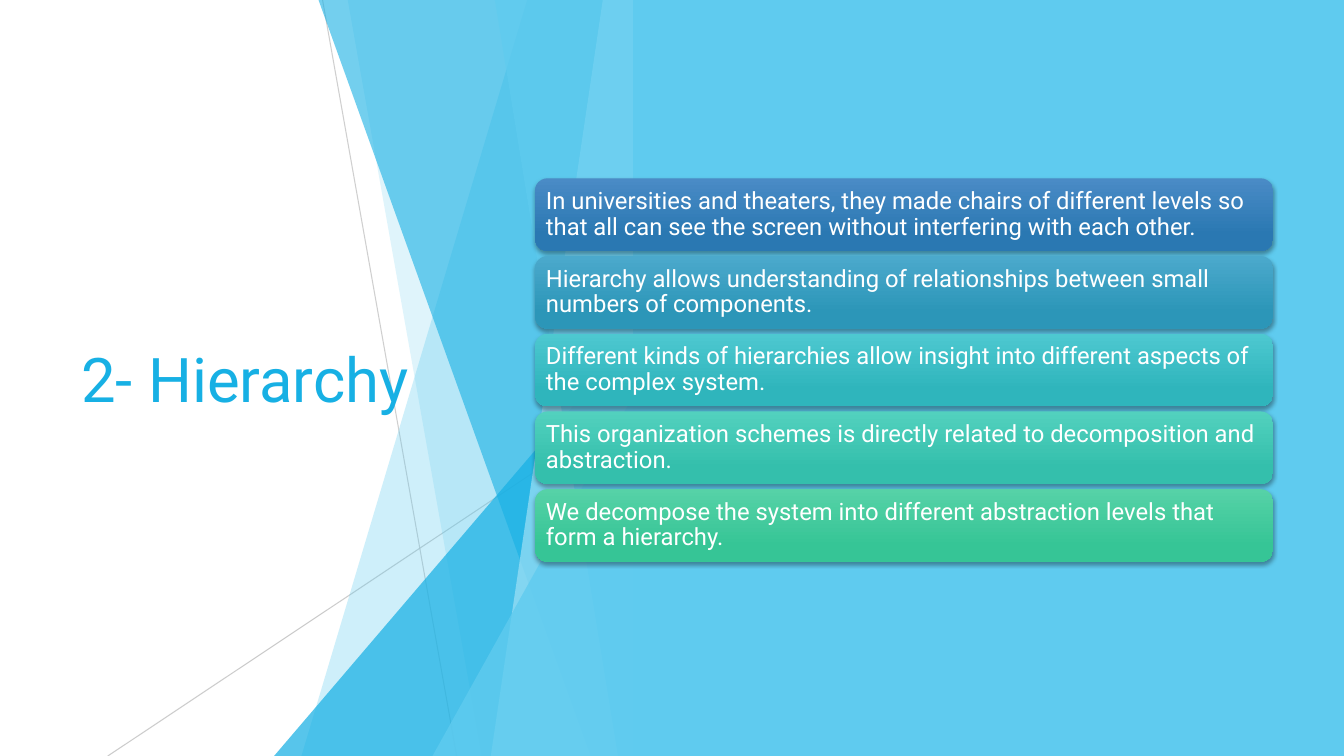
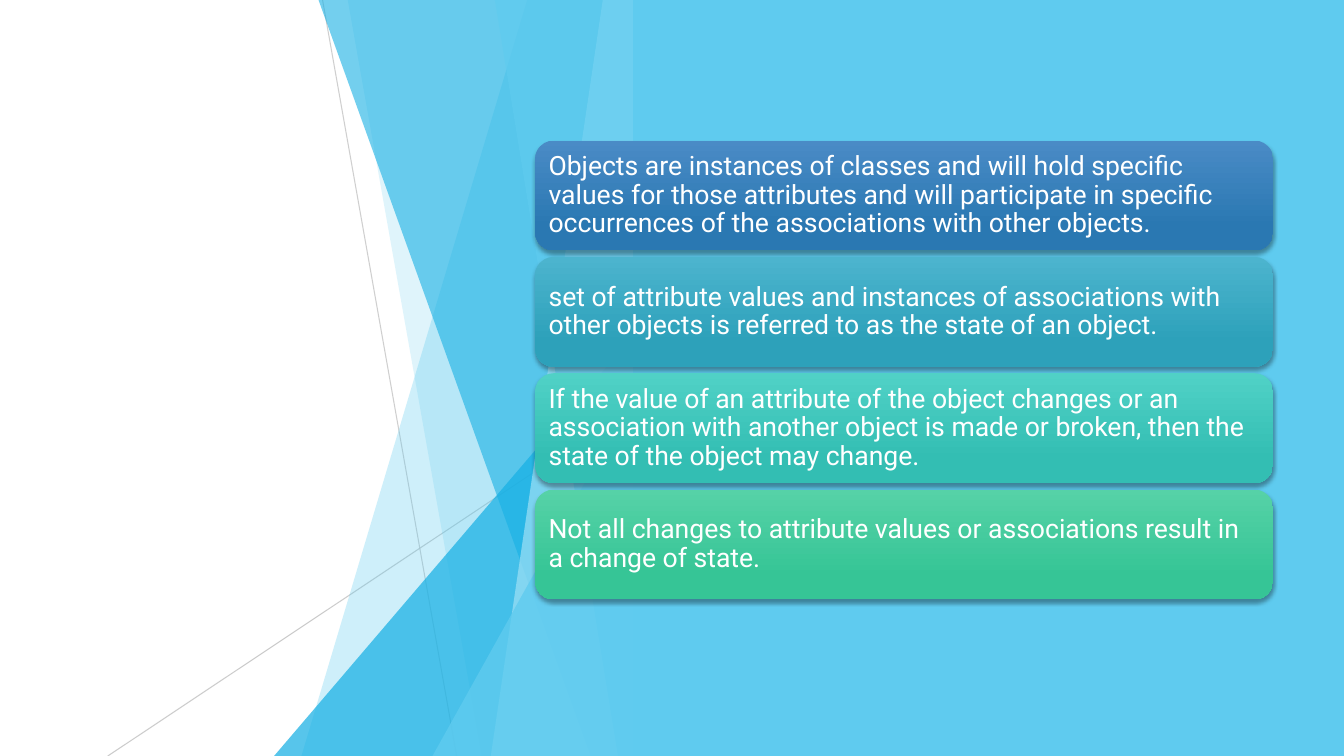
from lxml import etree
from pptx import Presentation
from pptx.dml.color import RGBColor
from pptx.enum.shapes import MSO_CONNECTOR, MSO_SHAPE
from pptx.enum.text import MSO_ANCHOR, PP_ALIGN
from pptx.oxml.ns import qn
from pptx.util import Pt

LINE = MSO_CONNECTOR.STRAIGHT
RECT = MSO_SHAPE.RECTANGLE
ROUND = MSO_SHAPE.ROUNDED_RECTANGLE
WEDGE = MSO_SHAPE.ISOSCELES_TRIANGLE
MIDDLE = MSO_ANCHOR.MIDDLE
LEFT = PP_ALIGN.LEFT

FONT = "Roboto"
WIDE, HIGH = 960, 540
EDGE = 452.2
CARD_X, CARD_W, CARD_MID = 382.3, 527, 264.3

HUES = {
    "white": "FFFFFF", "black": "000000", "gray": "BFBFBF",
    "sky": "5FCBEF", "azure": "17B0E4", "pale": "9FE0F5",
    "blue hi": "4A8BC6", "blue lo": "2A78B2",
    "steel hi": "4BA9CC", "steel lo": "2C96B8",
    "lake hi": "4CB4CE", "lake lo": "2DA1BA",
    "cyan hi": "4DC8D0", "cyan lo": "2FB5BC",
    "teal hi": "50D1C6", "teal lo": "33BEB3",
    "mint hi": "52D1BE", "mint lo": "34BFAC",
    "green hi": "56D2A7", "green lo": "36C596",
}
HUES = {name: RGBColor.from_string(code) for name, code in HUES.items()}

RAYS = [
    (230.4, 0, 326.2, HIGH, 75),
    (EDGE, 290.2, 77, HIGH, 80),
]
FACETS = [
    ("band", 376.6, 215.3, "sky", 30),
    ("band", 248.4, 344.2, "sky", 20),
    ("wedge", 195.8, 239.8, "azure", 72),
    ("band", 227.5, 421.9, "azure", 60),
    ("band", 430.6, 350.6, "pale", 70),
    ("band", 353.5, 441.4, "sky", 65),
    ("wedge", 308.9, 283, "sky", 80),
]
PAGES = [
    {"title": "2- Hierarchy", "size": 17, "high": 51.8, "gap": 3.7, "cards": [
        ("blue", "In universities and theaters, they made chairs of different levels so that all can see the screen without interfering with each other."),
        ("steel", "Hierarchy allows understanding of relationships between small numbers of components."),
        ("cyan", "Different kinds of hierarchies allow insight into different aspects of the complex system."),
        ("mint", "This organization schemes is directly related to decomposition and abstraction."),
        ("green", "We decompose the system into different abstraction levels that form a hierarchy."),
    ]},
    {"title": None, "size": 19, "high": 78.5, "gap": 4.6, "cards": [
        ("blue", "Objects are instances of classes and will hold specific values for those attributes and will participate in specific occurrences of the associations with other objects."),
        ("lake", "set of attribute values and instances of associations with other objects is referred to as the state of an object."),
        ("teal", "If the value of an attribute of the object changes or an association with another object is made or broken, then the state of the object may change."),
        ("green", "Not all changes to attribute values or associations result in a change of state."),
    ]},
]


def paint(shape, hue, alpha=100):
    shape.shadow.inherit = False
    shape.line.fill.background()
    shape.fill.solid()
    shape.fill.fore_color.rgb = HUES[hue]
    if alpha < 100:
        color = shape._element.spPr.find(".//" + qn("a:srgbClr"))
        etree.SubElement(color, qn("a:alpha"), val=str(alpha * 1000))


def write(shape, text, size, hue):
    frame = shape.text_frame
    frame.word_wrap = True
    frame.vertical_anchor = MIDDLE
    para = frame.paragraphs[0]
    para.alignment = LEFT
    run = para.add_run()
    run.text = text
    run.font.name = FONT
    run.font.size = Pt(size)
    run.font.color.rgb = HUES[hue]
    return frame


deck = Presentation()
deck.slide_width, deck.slide_height = Pt(WIDE), Pt(HIGH)

for page in PAGES:
    slide = deck.slides.add_slide(deck.slide_layouts[6])
    shapes = slide.shapes

    for x1, y1, x2, y2, alpha in RAYS:
        ray = shapes.add_connector(LINE, Pt(x1), Pt(y1), Pt(x2), Pt(y2))
        ray.line.width = Pt(0.75)
        ray.line.color.rgb = HUES["gray"]
        props = ray._element.spPr
        color = props.find(".//" + qn("a:srgbClr"))
        etree.SubElement(color, qn("a:alpha"), val=str(alpha * 1000))
        etree.SubElement(props, qn("a:effectLst"))

    for kind, start, end, hue, alpha in FACETS:
        if kind == "band":
            pen = shapes.build_freeform(Pt(start), 0)
            pen.add_line_segments([(Pt(EDGE), 0), (Pt(EDGE), Pt(HIGH)), (Pt(end), Pt(HIGH))])
            facet = pen.convert_to_shape()
        else:
            facet = shapes.add_shape(WEDGE, Pt(start), Pt(end), Pt(EDGE - start), Pt(HIGH - end))
            facet.adjustments[0] = 1
        paint(facet, hue, alpha)

    if page["title"]:
        title = shapes.add_textbox(Pt(51), Pt(108.7), Pt(279.4), Pt(322.6))
        write(title, page["title"], 44, "azure")

    panel = shapes.add_shape(RECT, Pt(EDGE), 0, Pt(WIDE - EDGE), Pt(HIGH))
    paint(panel, "sky")

    size, high, cards = page["size"], page["high"], page["cards"]
    step = high + page["gap"]
    top = CARD_MID - (len(cards) * step - page["gap"]) / 2
    for i, (hue, text) in enumerate(cards):
        card = shapes.add_shape(ROUND, Pt(CARD_X), Pt(top + i * step), Pt(CARD_W), Pt(high))
        card.line.fill.background()
        card.fill.gradient()
        card.fill.gradient_angle = 270
        for stop, place, tone in zip(card.fill.gradient_stops, (0, 0.78), ("hi", "lo")):
            stop.position = place
            stop.color.rgb = HUES[f"{hue} {tone}"]
        card.shadow.inherit = False
        effect = card._element.spPr.find(qn("a:effectLst"))
        shade = etree.SubElement(effect, qn("a:outerShdw"), blurRad=str(Pt(3)), dist=str(Pt(2)),
                                 dir="5400000", algn="ctr", rotWithShape="0")
        color = etree.SubElement(shade, qn("a:srgbClr"), val=str(HUES["black"]))
        etree.SubElement(color, qn("a:alpha"), val="35000")
        frame = write(card, text, size, "white")
        frame.margin_left = frame.margin_right = Pt(size * 0.3)
        frame.margin_top = frame.margin_bottom = Pt(size * 0.3)
        frame.paragraphs[0].line_spacing = 0.9

deck.save("out.pptx")
